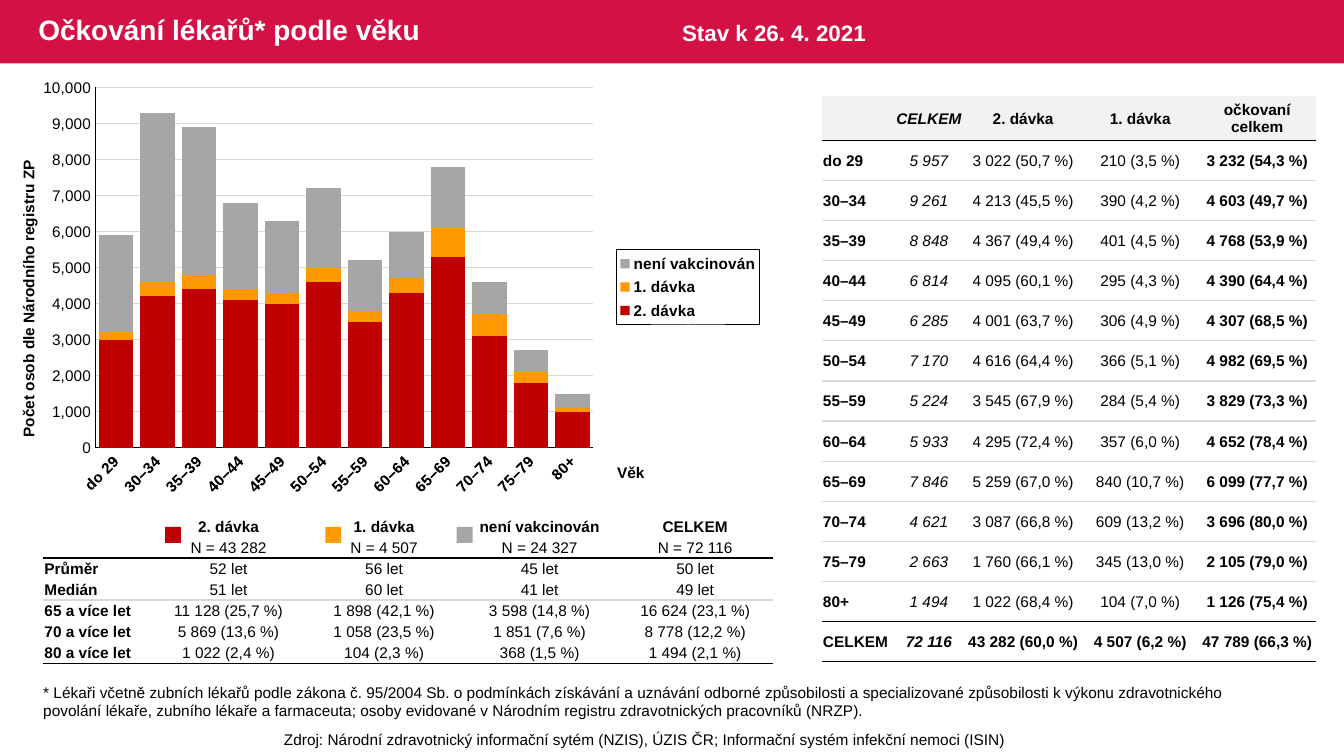
from dataclasses import dataclass
from itertools import accumulate

from lxml import etree
from pptx import Presentation
from pptx import util as u
from pptx.chart.data import CategoryChartData
from pptx.dml.color import RGBColor
from pptx.enum import chart as ch, shapes, text
from pptx.oxml import parse_xml
from pptx.oxml.ns import nsdecls, qn


@dataclass(frozen=True)
class Theme:
    """Colours, font and type sizes of the slide."""
    font: str = "Arial"
    title: int = 20
    status: int = 16
    body: int = 11
    header: str = "D31145"
    white: str = "FFFFFF"
    ink: str = "000000"
    grid: str = "D9D9D9"
    head_fill: str = "F2F2F2"
    second: str = "C00000"
    first: str = "FF9900"
    none: str = "A6A6A6"


T = Theme()
PLAIN_TABLE = "{2D5ABB26-0587-4C30-8999-92F81FD0307C}"
LEFT, CENTER = text.PP_ALIGN.LEFT, text.PP_ALIGN.CENTER
SERIES = (("2. dávka", T.second), ("1. dávka", T.first), ("není vakcinován", T.none))

AGE_ROWS = [line.split("|") for line in """do 29|5 957|3 022 (50,7 %)|210 (3,5 %)|3 232 (54,3 %)
30–34|9 261|4 213 (45,5 %)|390 (4,2 %)|4 603 (49,7 %)
35–39|8 848|4 367 (49,4 %)|401 (4,5 %)|4 768 (53,9 %)
40–44|6 814|4 095 (60,1 %)|295 (4,3 %)|4 390 (64,4 %)
45–49|6 285|4 001 (63,7 %)|306 (4,9 %)|4 307 (68,5 %)
50–54|7 170|4 616 (64,4 %)|366 (5,1 %)|4 982 (69,5 %)
55–59|5 224|3 545 (67,9 %)|284 (5,4 %)|3 829 (73,3 %)
60–64|5 933|4 295 (72,4 %)|357 (6,0 %)|4 652 (78,4 %)
65–69|7 846|5 259 (67,0 %)|840 (10,7 %)|6 099 (77,7 %)
70–74|4 621|3 087 (66,8 %)|609 (13,2 %)|3 696 (80,0 %)
75–79|2 663|1 760 (66,1 %)|345 (13,0 %)|2 105 (79,0 %)
80+|1 494|1 022 (68,4 %)|104 (7,0 %)|1 126 (75,4 %)""".splitlines()]
AGE_HEAD = ["", "CELKEM", "2. dávka", "1. dávka", "očkovaní celkem"]
AGE_TOTAL = ["CELKEM", "72 116", "43 282 (60,0 %)", "4 507 (6,2 %)", "47 789 (66,3 %)"]

SUMMARY = [line.split("|") for line in """|2. dávka|1. dávka|není vakcinován|CELKEM
|N = 43 282|N = 4 507|N = 24 327|N = 72 116
Průměr|52 let|56 let|45 let|50 let
Medián|51 let|60 let|41 let|49 let
65 a více let|11 128 (25,7 %)|1 898 (42,1 %)|3 598 (14,8 %)|16 624 (23,1 %)
70 a více let|5 869 (13,6 %)|1 058 (23,5 %)|1 851 (7,6 %)|8 778 (12,2 %)
80 a více let|1 022 (2,4 %)|104 (2,3 %)|368 (1,5 %)|1 494 (2,1 %)""".splitlines()]


def rgb(color):
    """Turn a hex string into a colour."""
    return RGBColor.from_string(color)


def style(font, size=T.body, color=T.ink, bold=False, italic=False):
    """Format a font."""
    font.name, font.size, font.bold, font.italic = T.font, u.Pt(size), bold, italic
    font.color.rgb = rgb(color)


def write(tf, words, align=LEFT, spacing=None, **fmt):
    """Put formatted text into a text frame."""
    p = tf.paragraphs[0]
    p.alignment = align
    if spacing:
        p.line_spacing = spacing
    if words:
        r = p.add_run()
        r.text = words
        style(r.font, **fmt)
    else:
        etree.SubElement(p._p, qn("a:endParaRPr"), sz=str(T.body * 100))


def label(s, box, words, wrap=True, rotation=0, **fmt):
    """Add a text box."""
    tb = s.shapes.add_textbox(*map(u.Cm, box))
    tb.rotation = rotation
    tb.text_frame.word_wrap = wrap
    tb.text_frame.auto_size = text.MSO_AUTO_SIZE.SHAPE_TO_FIT_TEXT
    write(tb.text_frame, words, **fmt)


def block(s, box, color):
    """Add a plain filled rectangle."""
    sp = s.shapes.add_shape(shapes.MSO_SHAPE.RECTANGLE, *map(u.Cm, box))
    sp.shadow.inherit = False
    sp.fill.solid()
    sp.fill.fore_color.rgb = rgb(color)
    sp.line.fill.background()
    return sp


def header(s, x, y, w, h):
    """Draw the band with the title and the date."""
    bar = block(s, (x, y, w, h), T.header)
    title = s.shapes.title
    title.element.addprevious(bar.element)
    title.left, title.top, title.width, title.height = map(u.Cm, (x + 0.71, y, 20.65, h))
    title.text_frame.vertical_anchor = text.MSO_ANCHOR.MIDDLE
    write(title.text_frame, "Očkování lékařů* podle věku", spacing=0.9,
          size=T.title, color=T.white, bold=True)
    label(s, (x + 16.94, y + 0.36, 5.59, 0.94), "Stav k 26. 4. 2021",
          size=T.status, color=T.white, bold=True)


def set_layout(element, before, box, size, **modes):
    """Place a chart part by a box in Cm within a chart of the given size."""
    for old in element.findall(qn("c:layout")):
        element.remove(old)
    layout = etree.Element(qn("c:layout"))
    manual = etree.SubElement(layout, qn("c:manualLayout"))
    fractions = {tag: length / full for tag, length, full in zip("xywh", box, size * 2)}
    for tag, value in {**modes, "xMode": "edge", "yMode": "edge", **fractions}.items():
        etree.SubElement(manual, qn(f"c:{tag}"), val=str(value))
    before.addprevious(layout)


def count(cell):
    """Read the head count from a table entry."""
    return int(cell.split(" (")[0].replace(" ", ""))


def age_chart(s, x, y, w, h):
    """Draw the stacked columns with their axis titles."""
    data = CategoryChartData(number_format="#,##0")
    data.categories = [row[0] for row in AGE_ROWS]
    counts = [[count(c) for c in row[1:]] for row in AGE_ROWS]
    columns = zip(*((second, first, total - done) for total, second, first, done in counts))
    for (name, _), values in zip(SERIES, columns):
        data.add_series(name, [round(value, -2) for value in values])
    c = s.shapes.add_chart(ch.XL_CHART_TYPE.COLUMN_STACKED, *map(u.Cm, (x, y, w, h)), data).chart
    style(c.font, bold=True)
    c.has_title = False
    plot = c.plots[0]
    plot.gap_width, plot.overlap, plot.vary_by_categories = 20, 100, False
    for series, (_, color) in zip(plot.series, SERIES):
        series.format.fill.solid()
        series.format.fill.fore_color.rgb = rgb(color)
    cat, val = c.category_axis, c.value_axis
    for axis in (cat, val):
        axis.major_tick_mark = axis.minor_tick_mark = ch.XL_TICK_MARK.NONE
        axis.format.line.color.rgb = rgb(T.ink)
        axis.format.line.width = u.Pt(0.75)
        style(axis.tick_labels.font, bold=axis is cat)
    val.minimum_scale, val.maximum_scale, val.major_unit = 0, 10000, 1000
    val.tick_labels.number_format = "#,##0"
    val.tick_labels.number_format_is_linked = False
    val.major_gridlines.format.line.color.rgb = rgb(T.grid)
    val.major_gridlines.format.line.width = u.Pt(0.75)
    cat._element.find(qn("c:txPr")).find(qn("a:bodyPr")).set("rot", "-2700000")
    c.has_legend = True
    c.legend.position = ch.XL_LEGEND_POSITION.RIGHT
    c.legend.include_in_layout = False
    style(c.legend.font, bold=True)
    area = c._chartSpace.find(".//" + qn("c:plotArea"))
    set_layout(area, area.find(qn("c:barChart")), (1.22, 0.3, 12.62, 9.09), (w, h),
               layoutTarget="inner")
    legend = c._chartSpace.find(".//" + qn("c:legend"))
    set_layout(legend, legend.find(qn("c:overlay")), (14.43, 4.38, 3.62, 1.91), (w, h))
    legend.find(qn("c:txPr")).addprevious(parse_xml(
        f'<c:spPr {nsdecls("c", "a")}><a:ln w="9525"><a:solidFill>'
        f'<a:srgbClr val="{T.ink}"/></a:solidFill></a:ln></c:spPr>'))
    label(s, (x - 4.14, y + 5.24, 7.54, 0.73), "Počet osob dle Národního registru ZP",
          wrap=False, rotation=270, bold=True)
    label(s, (x + 14.21, y + 9.64, 1.22, 0.73), "Věk", wrap=False, bold=True)


def grid_table(s, x, y, widths, heights, rows, rules, weight, head_fill=None):
    """Draw a table; rules maps row edges to colours, weight gives each cell's format."""
    frame = s.shapes.add_table(len(rows), len(widths), *map(u.Cm, (x, y, sum(widths), sum(heights))))
    tbl = frame.table
    tbl.first_row = tbl.horz_banding = False
    tbl._tbl.tblPr.find(qn("a:tableStyleId")).text = PLAIN_TABLE
    for column, width in zip(tbl.columns, widths):
        column.width = u.Cm(width)
    for i, (row, height) in enumerate(zip(rows, heights)):
        tbl.rows[i].height = u.Cm(height)
        for j, words in enumerate(row):
            cell = tbl.cell(i, j)
            cell.margin_left = cell.margin_right = cell.margin_top = u.Cm(0.03)
            cell.margin_bottom = 0
            cell.vertical_anchor = text.MSO_ANCHOR.MIDDLE
            write(cell.text_frame, words, align=CENTER if j else LEFT, **weight(i, j))
            if head_fill and i == 0:
                cell.fill.solid()
                cell.fill.fore_color.rgb = rgb(head_fill)
            else:
                cell.fill.background()
            for tag, edge in (("lnB", i + 1), ("lnT", i)):
                paint = (f'<a:solidFill><a:srgbClr val="{rules[edge]}"/></a:solidFill>'
                         if edge in rules else "<a:noFill/>")
                cell._tc.get_or_add_tcPr().insert(0, parse_xml(
                    f'<a:{tag} {nsdecls("a")} w="12700">{paint}</a:{tag}>'))


def summary_table(s, x, y):
    """Draw the summary by dose with its colour keys."""
    grid_table(s, x, y, [2.71] + [3.92] * 4, [0.53] * 7, SUMMARY,
               {2: T.ink, 4: T.grid, 7: T.ink}, lambda i, j: {"bold": i == 0 or j == 0})
    for dx, (_, color) in zip(accumulate((3.07, 4.04, 3.31)), SERIES):
        block(s, (x + dx, y + 0.28, 0.4, 0.4), color)


def age_table(s, x, y):
    """Draw the table by age group."""
    rows = [AGE_HEAD, *AGE_ROWS, AGE_TOTAL]
    last = len(rows) - 1
    rules = {edge: T.grid for edge in range(2, last)} | dict.fromkeys((1, last, last + 1), T.ink)
    grid_table(s, x, y, [1.8] * 2 + [2.95] * 3, [1.13] + [1.01] * last, rows, rules,
               lambda i, j: {"bold": i in (0, last) or j in (0, 4), "italic": j == 1}, T.head_fill)


def footer(s, x, y):
    """Write the footnote and the source line."""
    label(s, (x, y, 31.83, 1.19),
          "* Lékaři včetně zubních lékařů podle zákona č. 95/2004 Sb. o podmínkách získávání a "
          "uznávání odborné způsobilosti a specializované způsobilosti k výkonu zdravotnického "
          "povolání lékaře, zubního lékaře a farmaceuta; osoby evidované v Národním registru "
          "zdravotnických pracovníků (NRZP).")
    label(s, (x + 3.91, y + 1.2, 23.01, 0.73),
          "Zdroj: Národní zdravotnický informační sytém (NZIS), ÚZIS ČR; "
          "Informační systém infekční nemoci (ISIN)", align=CENTER)


def main():
    """Build the slide and save it."""
    prs = Presentation()
    prs.slide_width, prs.slide_height = u.Cm(33.87), u.Cm(19.05)
    s = prs.slides.add_slide(prs.slide_layouts[5])
    header(s, 0, 0, 33.87, 1.6)
    age_chart(s, 1.09, 1.9, 18.39, 11.1)
    summary_table(s, 1.09, 13)
    age_table(s, 20.71, 2.41)
    footer(s, 0.84, 17.08)
    prs.save("out.pptx")


if __name__ == "__main__":
    main()
